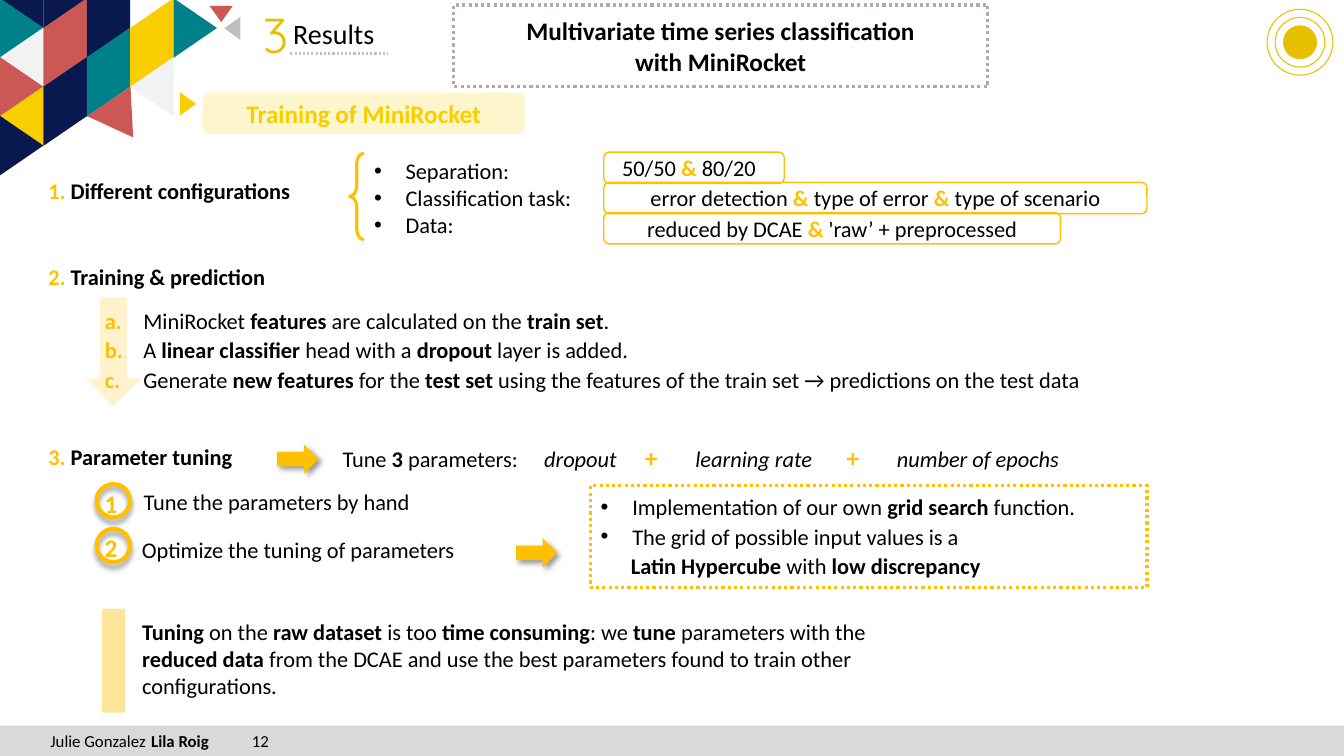
from lxml import etree
from pptx import Presentation
from pptx.dml.color import RGBColor
from pptx.enum.dml import MSO_LINE
from pptx.enum.shapes import MSO_CONNECTOR, MSO_SHAPE
from pptx.enum.text import MSO_ANCHOR, MSO_AUTO_SIZE, PP_ALIGN
from pptx.oxml.ns import qn
from pptx.util import Pt

RECT, ROUND = MSO_SHAPE.RECTANGLE, MSO_SHAPE.ROUNDED_RECTANGLE
OVAL, TRI = MSO_SHAPE.OVAL, MSO_SHAPE.ISOSCELES_TRIANGLE
BRACE, DOWN, RIGHT = MSO_SHAPE.LEFT_BRACE, MSO_SHAPE.DOWN_ARROW, MSO_SHAPE.RIGHT_ARROW
DOTS = MSO_LINE.ROUND_DOT
TOP, MID = MSO_ANCHOR.TOP, MSO_ANCHOR.MIDDLE
LEFT, CENTER = PP_ALIGN.LEFT, PP_ALIGN.CENTER
AMBER, GOLD, YELLOW, BLACK = "FFC000", "E6C000", "F9CE00", "000000"
RED, GREY = "CC5856", "D9D9D9"
TONES = {"N": "09194F", "T": "00818A", "W": "F2F2F2", "R": RED, "Y": YELLOW}


def rgb(code):
    return RGBColor.from_string(code)


def sub(node, tag, **attrs):
    return etree.SubElement(node, qn(tag), {k: str(v) for k, v in attrs.items()})


def stroke(line, color, width, dash=None):
    line.color.rgb = rgb(color)
    line.width = Pt(width)
    if dash:
        line.dash_style = dash


def shape(slide, kind, x, y, w, h, fill=None, alpha=None, line=None, width=1, dash=None):
    item = slide.shapes.add_shape(kind, Pt(x), Pt(y), Pt(w), Pt(h))
    item.shadow.inherit = False
    if fill:
        item.fill.solid()
        item.fill.fore_color.rgb = rgb(fill)
        if alpha:
            tint = item.fill._xPr.find(qn("a:solidFill"))[0]
            sub(tint, "a:alpha", val=alpha * 1000)
    else:
        item.fill.background()
    if line:
        stroke(item.line, line, width, dash)
    else:
        item.line.fill.background()
    return item


def shade(item, angle):
    effect = item.element.spPr.find(qn("a:effectLst"))
    outer = sub(effect, "a:outerShdw", blurRad=Pt(4), dist=Pt(3), dir=angle * 60000, rotWithShape=0)
    sub(sub(outer, "a:srgbClr", val=BLACK), "a:alpha", val=40000)


def write(frame, paras, size=16, color=BLACK, font="Calibri", align=LEFT, anchor=TOP,
          lead=None, hang=0, bullet=False, tabs=()):
    """Each paragraph is a list of (text, marks): b bold, i italic, y amber bold, p large."""
    frame.word_wrap = True
    frame.auto_size = MSO_AUTO_SIZE.NONE
    frame.vertical_anchor = anchor
    for n, runs in enumerate(paras):
        para = frame.add_paragraph() if n else frame.paragraphs[0]
        para.alignment = align
        para.space_before = Pt(0)
        if lead:
            para.line_spacing = Pt(lead)
        for text, marks in runs:
            run = para.add_run()
            run.text = text
            run.font.name = font
            run.font.size = Pt(18 if "p" in marks else size)
            run.font.bold = "b" in marks or "y" in marks
            run.font.italic = "i" in marks
            run.font.color.rgb = rgb(AMBER if "y" in marks else color)
        props = para._p.get_or_add_pPr()
        props.set("marL", str(Pt(hang)))
        props.set("indent", str(Pt(-hang)))
        if bullet:
            sub(props, "a:buFont", typeface="Arial")
            sub(props, "a:buChar", char="•")
        else:
            sub(props, "a:buNone")
        if tabs:
            stops = sub(props, "a:tabLst")
            for stop in tabs:
                sub(stops, "a:tab", pos=Pt(stop), algn="l")


def label(slide, x, y, w, h, runs, **style):
    box = slide.shapes.add_textbox(Pt(x), Pt(y), Pt(w), Pt(h))
    write(box.text_frame, [runs], **style)


def body(slide, idx, x, y, w, h, paras, **style):
    item = slide.placeholders[idx]
    item.left, item.top, item.width, item.height = Pt(x), Pt(y), Pt(w), Pt(h)
    write(item.text_frame, paras, **style)
    return item


def wedge(slide, x, y, w, h, turn, color):
    """Triangle given by its centre."""
    shape(slide, TRI, x - w / 2, y - h / 2, w, h, color).rotation = turn


def mosaic(slide):
    for col, tones in enumerate(("NTWRYN", "NRRNN", "NNTT", " YYW", " T")):
        for row, tone in enumerate(tones):
            if tone != " ":
                turn = 90 if (col + row) % 2 else 270
                wedge(slide, 15.5 + 31 * col, -1 + 21 * row, 42.5, 31, turn, TONES[tone])
    wedge(slide, 86.4, 85.3, 37.4, 31, 145.9, RED)
    for x, y, turn, color in ((158, 10, 180, RED), (166, 20.2, 270, "BFBFBF"),
                              (134.3, 74.2, 90, YELLOW)):
        wedge(slide, x, y, 16.5, 11.5, turn, color)


def header(slide):
    title = body(slide, 0, 324, 3.6, 381.6, 58.3,
                 [[("Multivariate time series classification", "b")], [("with MiniRocket", "b")]],
                 size=18, align=CENTER, anchor=MID)
    stroke(title.line, "AFABAB", 2.25, DOTS)
    label(slide, 180.7, 0, 82, 67.7, [("3", "")], size=35, color=GOLD, font="Quicksand")
    label(slide, 202.3, 8, 250, 50, [("Results", "")], size=20)
    rule = slide.shapes.add_connector(MSO_CONNECTOR.STRAIGHT, Pt(207.4), Pt(38.2), Pt(277.2), Pt(38.2))
    stroke(rule.line, "BFBFBF", 1.5, DOTS)
    sub(rule.element.spPr, "a:effectLst")
    for size, fill in ((47, None), (35.5, None), (23.5, GOLD)):
        shape(slide, OVAL, 928.6 - size / 2, 30.2 - size / 2, size, size, fill, line=GOLD, width=0.75)
    tag = shape(slide, ROUND, 144.7, 66.2, 230.4, 29.5, YELLOW, 20)
    write(tag.text_frame, [[("Training of MiniRocket", "b")]], 18, YELLOW, align=CENTER, anchor=MID)


def setups(slide):
    body(slide, 1, 260, 108.7, 172.8, 65.5,
         [[("Separation:", "")], [("Classification task:", "")], [("Data:", "")]],
         hang=22.5, bullet=True)
    brace = shape(slide, BRACE, 249.8, 109.4, 10.1, 61.9, line=AMBER, width=2.25)
    brace.adjustments[0] = 0.786
    brace.adjustments[1] = 0.5
    rows = (
        (128.9, 14.4, [("50/50 ", ""), ("& ", "y"), ("80/20", "")]),
        (388, 7.2, [("error detection ", ""), ("& ", "y"), ("type of error ", ""),
                    ("& ", "y"), ("type of scenario", "")]),
        (326.2, 7.2, [("reduced by DCAE ", ""), ("& ", "y"), ("'raw’ + preprocessed", "")]),
    )
    for n, (width, inset, runs) in enumerate(rows):
        box = shape(slide, ROUND, 431.3, 108.7 + 21.6 * n, width, 22.3, line=AMBER)
        write(box.text_frame, [runs], align=CENTER, anchor=MID)
        box.text_frame.margin_right = Pt(inset)


def steps(slide):
    body(slide, 2, 67.7, 213.8, 802, 69.1, [
        [("a.\t", "y"), ("MiniRocket ", ""), ("features", "b"), (" are calculated on the ", ""),
         ("train set", "b"), (".", "")],
        [("b.\t", "y"), ("A ", ""), ("linear classifier", "b"), (" head with a ", ""),
         ("dropout", "b"), (" layer is added.", "")],
        [("c.\t", "y"), ("Generate ", ""), ("new features", "b"), (" for the ", ""), ("test set", "b"),
         (" using the features of the train set → predictions on the test data", "")],
    ], lead=21, hang=27.5)
    shape(slide, DOWN, 61.2, 212.4, 39.6, 77.8, AMBER, 20)


def tuning(slide):
    label(slide, 237.6, 312.5, 538.6, 28.8, [
        ("Tune ", ""), ("3", "b"), (" parameters:\t", ""), ("dropout\t", "i"), ("+\t", "yp"),
        ("learning rate\t", "i"), ("+\t", "yp"), ("number of epochs", "i"),
    ], tabs=(136, 195, 211.5, 301.5, 318))
    for x, y in ((198, 317.5), (368.6, 384.5)):
        shade(shape(slide, RIGHT, x, y, 29.5, 20.9, AMBER), 45)
    for mark, y in (("1", 345), ("2", 377)):
        label(slide, 67.7, y, 24, 28.8, [(mark, "y")], size=18)
        shade(shape(slide, OVAL, 69.1, y + 0.8, 23.8, 23.8, line=AMBER, width=3), 90)
    label(slide, 95.5, 344.9, 254, 26.6, [("Tune the parameters by hand", "")])
    label(slide, 94.3, 379.4, 274, 26.6, [("Optimize the tuning of parameters", "")])
    grid = body(slide, 4, 421.9, 347, 397.4, 72.7, [
        [("Implementation of our own ", ""), ("grid search ", "b"), ("function.", "")],
        [("The grid of possible input values is a", "")],
    ], lead=21, hang=22.5, bullet=True)
    stroke(grid.line, AMBER, 2.25, DOTS)
    # Third line sits under the bullet text
    tail = grid.text_frame.add_paragraph()
    for text, bold in (("Latin Hypercube ", True), ("with", False), (" low discrepancy", True)):
        run = tail.add_run()
        run.text = text
        run.font.name, run.font.size, run.font.bold = "Calibri", Pt(16), bold
        run.font.color.rgb = rgb(BLACK)
    tail.space_before, tail.line_spacing = Pt(0), Pt(21)
    props = tail._p.get_or_add_pPr()
    props.set("marL", str(Pt(21.5)))
    props.set("indent", "0")
    sub(props, "a:buNone")


def note(slide):
    shape(slide, RECT, 72.7, 434.9, 16.6, 74.2, AMBER, 40)
    body(slide, 3, 94.3, 437.8, 547.2, 65.5, [[
        ("Tuning", "b"), (" on the ", ""), ("raw dataset", "b"), (" is too ", ""),
        ("time consuming", "b"), (": we ", ""), ("tune", "b"), (" parameters with the ", ""),
        ("reduced data", "b"),
        (" from the DCAE and use the best parameters found to train other configurations.", ""),
    ]])


def footer(slide):
    bar = shape(slide, RECT, 0, 518.4, 960, 21.6, GREY)
    bar.text_frame.margin_left = 0
    write(bar.text_frame, [[("\tJulie Gonzalez\t", ""), ("Lila Roig\t", "b"), ("12", "")]],
          12, anchor=MID, tabs=(334, 455, 841))


def main():
    deck = Presentation()
    deck.slide_width, deck.slide_height = Pt(960), Pt(540)
    slide = deck.slides.add_slide(deck.slide_layouts[4])
    mosaic(slide)
    header(slide)
    heads = (("1. ", "Different configurations", 123.1),
             ("2. ", "Training & prediction", 184.3), ("3. ", "Parameter tuning", 313.2))
    for mark, text, y in heads:
        label(slide, 27.4, y, 230, 26.6, [(mark, "y"), (text, "b")])
    setups(slide)
    steps(slide)
    tuning(slide)
    note(slide)
    footer(slide)
    deck.save("out.pptx")


if __name__ == "__main__":
    main()
